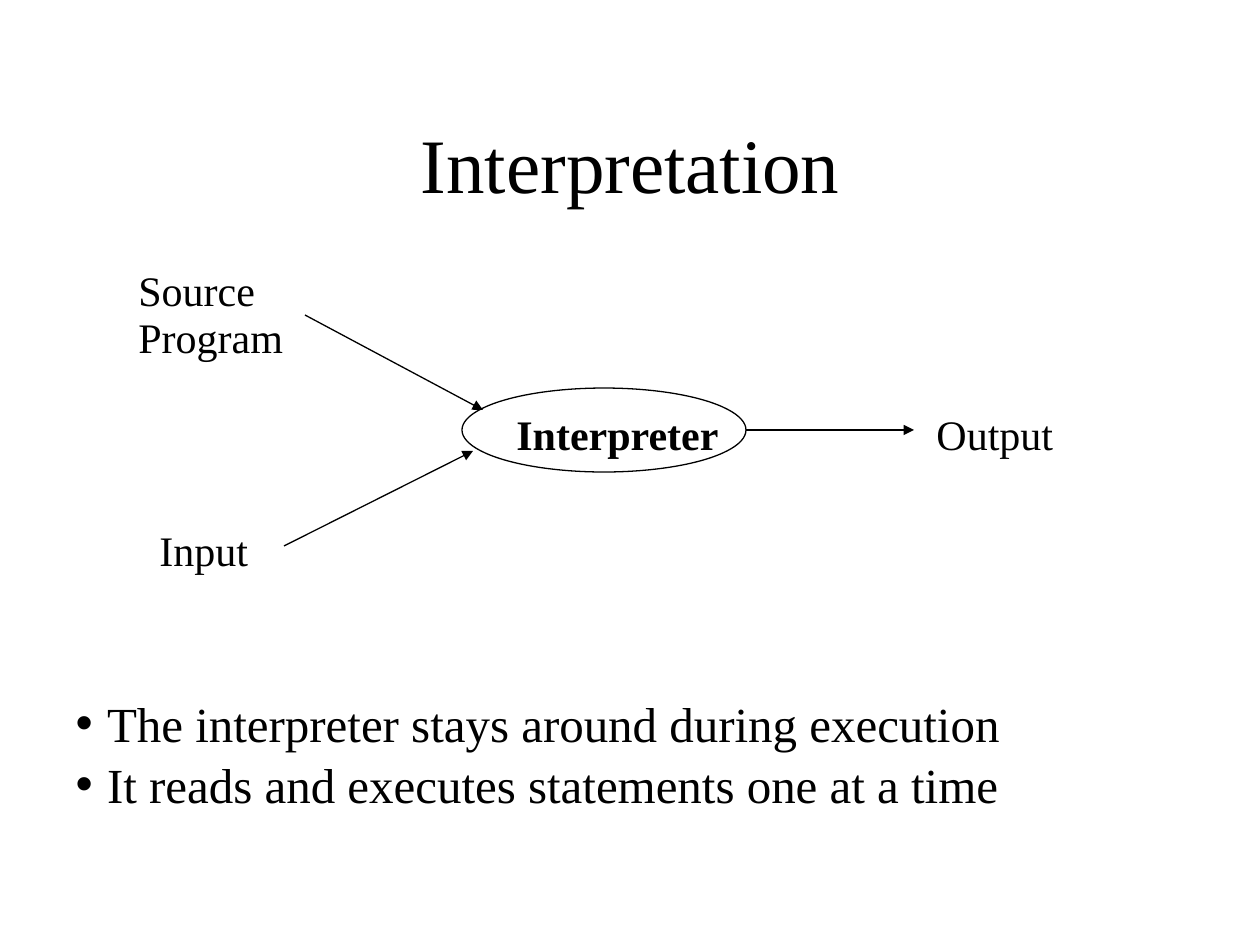
from pptx import Presentation
from pptx.dml.color import RGBColor
from pptx.enum.shapes import MSO_CONNECTOR, MSO_SHAPE
from pptx.enum.text import MSO_ANCHOR, MSO_AUTO_SIZE, PP_ALIGN
from pptx.oxml.ns import qn
from pptx.util import Pt
from lxml.etree import SubElement

PX = 914400 / 126
BLACK = RGBColor(0x00, 0x00, 0x00)
FONT = "Times New Roman"


def px(*lengths):
    return [round(length * PX) for length in lengths]


def style(paragraph, size, bold=False):
    paragraph.font.name = FONT
    paragraph.font.size = Pt(size)
    paragraph.font.bold = bold
    paragraph.font.color.rgb = BLACK


presentation = Presentation()
presentation.slide_width, presentation.slide_height = px(1260, 945)
slide = presentation.slides.add_slide(presentation.slide_layouts[1])

# Title
title = slide.shapes.title
title.left, title.top, title.width, title.height = px(95, 84, 1071, 158)
title.text_frame.text = "Interpretation"
title.text_frame.vertical_anchor = MSO_ANCHOR.MIDDLE
title.text_frame.paragraphs[0].alignment = PP_ALIGN.CENTER
style(title.text_frame.paragraphs[0], 44)

# Diagram labels: lines, box, top margin, bold
labels = [
    (["Interpreter"], (504, 399, 231, 63), 10, True),
    (["Source", "Program"], (126, 273, 189, 88), 13, False),
    (["Input"], (147, 514, 126, 63), 10, False),
    (["Output"], (924, 399, 147, 63), 10, False),
]
for lines, box, margin_top, bold in labels:
    text_frame = slide.shapes.add_textbox(*px(*box)).text_frame
    text_frame.word_wrap = True
    text_frame.margin_top = px(margin_top)[0]
    text_frame.text = "\n".join(lines)
    for paragraph in text_frame.paragraphs:
        style(paragraph, 24, bold)
        if len(lines) > 1:
            paragraph.line_spacing = 0.5
            paragraph.space_before = Pt(12.5)

# Interpreter ellipse
ellipse = slide.shapes.add_shape(MSO_SHAPE.OVAL, *px(462, 388, 284, 84))
ellipse.shadow.inherit = False
ellipse.fill.background()
ellipse.line.color.rgb = BLACK
ellipse.line.width = Pt(0.75)

# Arrows into and out of the interpreter
for ends in [(305, 315, 483, 410), (746, 430, 914, 430), (284, 546, 473, 451)]:
    arrow = slide.shapes.add_connector(MSO_CONNECTOR.STRAIGHT, *px(*ends))
    arrow.line.color.rgb = BLACK
    arrow.line.width = Pt(0.75)
    SubElement(arrow.line._get_or_add_ln(), qn("a:tailEnd"), type="triangle")
    SubElement(arrow._element.spPr, qn("a:effectLst"))

# Bullet list
body = slide.placeholders[1]
body.left, body.top, body.width, body.height = px(63, 683, 1113, 130)
text_frame = body.text_frame
text_frame.auto_size = MSO_AUTO_SIZE.NONE
text_frame.margin_top = px(10)[0]
text_frame.text = (
    "The interpreter stays around during execution\n"
    "It reads and executes statements one at a time"
)
indent = px(31.5)[0]
for paragraph in text_frame.paragraphs:
    style(paragraph, 28)
    paragraph.space_before = Pt(1.5)
    properties = paragraph._p.get_or_add_pPr()
    properties.set("marL", str(indent))
    properties.set("indent", str(-indent))
    SubElement(properties, qn("a:buChar"), char="•")

presentation.save("out.pptx")
